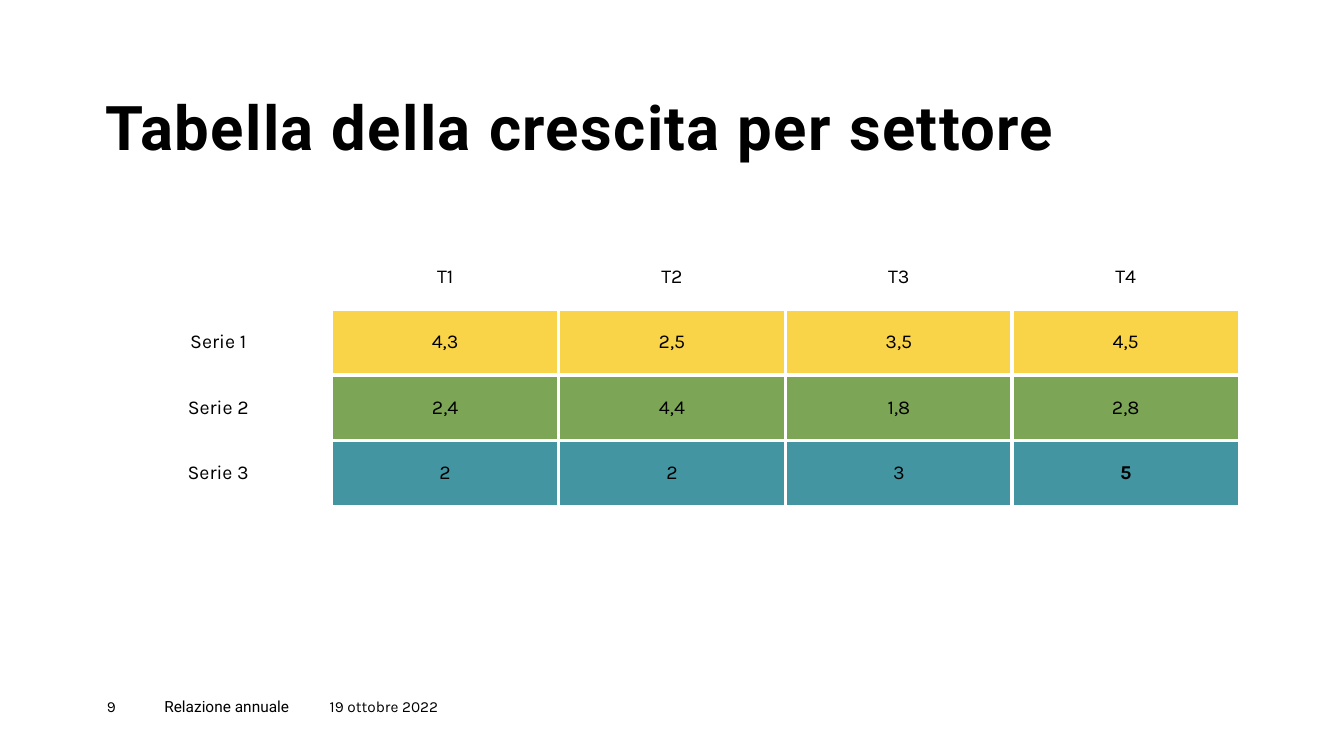
import dataclasses

import pptx
import pptx.dml.color
import pptx.enum.text
import pptx.oxml
import pptx.oxml.ns
import pptx.util

Inches = pptx.util.Inches
Pt = pptx.util.Pt
PP_ALIGN = pptx.enum.text.PP_ALIGN
MSO_ANCHOR = pptx.enum.text.MSO_ANCHOR


@dataclasses.dataclass(frozen=True)
class Theme:
    ink: str = "000000"
    paper: str = "FFFFFF"
    series: tuple = ("F9D448", "7CA655", "4495A2")
    heading_font: str = "Roboto"
    body_font: str = "Karla"
    title_size: int = 44
    table_size: int = 14
    footer_size: int = 11
    header_rule: float = 1
    outer_rule: float = 2.25
    inner_rule: float = 3


class SlideBuilder:
    def __init__(self, deck, theme):
        self.theme = theme
        self.slide = deck.slides.add_slide(deck.slide_layouts[5])
        self.slide.background.fill.solid()
        self.slide.background.fill.fore_color.rgb = self.color(theme.paper)

    def color(self, value):
        return pptx.dml.color.RGBColor.from_string(value)

    def add_run(self, paragraph, text, size, font, bold=False):
        run = paragraph.add_run()
        run.text = text
        run.font.size = Pt(size)
        run.font.name = font
        run.font.bold = bold
        run.font.color.rgb = self.color(self.theme.ink)
        return run

    def format_frame(self, frame, anchor):
        frame.margin_left = frame.margin_right = 0
        frame.margin_top = frame.margin_bottom = 0
        frame.word_wrap = True
        frame.auto_size = pptx.enum.text.MSO_AUTO_SIZE.NONE
        frame.vertical_anchor = anchor

    def title(self, text, left, top, width, height):
        heading = self.slide.shapes.title
        heading.left, heading.top = Inches(left), Inches(top)
        heading.width, heading.height = Inches(width), Inches(height)
        self.format_frame(heading.text_frame, MSO_ANCHOR.BOTTOM)
        paragraph = heading.text_frame.paragraphs[0]
        paragraph.alignment = PP_ALIGN.LEFT
        paragraph.line_spacing = 0.9
        run = self.add_run(paragraph, text, self.theme.title_size,
                           self.theme.heading_font, bold=True)
        run.font._element.set("spc", "100")  # one point of letter spacing

    def footer(self, text, font, left, top, width, height):
        box = self.slide.shapes.add_textbox(
            Inches(left), Inches(top), Inches(width), Inches(height))
        self.format_frame(box.text_frame, MSO_ANCHOR.TOP)
        self.add_run(box.text_frame.paragraphs[0], text,
                     self.theme.footer_size, font)

    def border(self, cell, side, width):
        properties = cell._tc.get_or_add_tcPr()
        properties.append(pptx.oxml.parse_xml(
            f'<a:ln{side} {pptx.oxml.ns.nsdecls("a")} w="{int(Pt(width))}">'
            f'<a:solidFill><a:srgbClr val="{self.theme.paper}"/></a:solidFill>'
            f'</a:ln{side}>'))

    def border_widths(self, row, column, last_row, last_column):
        outer, inner = self.theme.outer_rule, self.theme.inner_rule
        if row == 0:
            thin = self.theme.header_rule
            return {"L": thin, "R": thin, "T": thin, "B": outer}
        if column == 0:
            return dict.fromkeys("LRTB", outer)
        on_edge = {"L": column == 1, "R": column == last_column,
                   "T": row == 1, "B": row == last_row}
        return {side: outer if edge else inner for side, edge in on_edge.items()}

    def table(self, rows, bold_cell, left, top, column_widths, row_height):
        grid = self.slide.shapes.add_table(
            len(rows), len(column_widths), Inches(left), Inches(top),
            Inches(sum(column_widths)), Inches(row_height * len(rows))).table
        grid.first_row = grid.horz_banding = False
        for column, width in zip(grid.columns, column_widths):
            column.width = Inches(width)
        for r, values in enumerate(rows):
            grid.rows[r].height = Inches(row_height)
            for c, value in enumerate(values):
                cell = grid.cell(r, c)
                cell.vertical_anchor = MSO_ANCHOR.MIDDLE
                widths = self.border_widths(r, c, len(rows) - 1, len(values) - 1)
                for side, width in widths.items():
                    self.border(cell, side, width)
                # Only the figures are coloured, one colour per series
                if r and c:
                    cell.fill.solid()
                    cell.fill.fore_color.rgb = self.color(self.theme.series[r - 1])
                else:
                    cell.fill.background()
                if value:
                    paragraph = cell.text_frame.paragraphs[0]
                    paragraph.alignment = PP_ALIGN.CENTER
                    self.add_run(paragraph, value, self.theme.table_size,
                                 self.theme.body_font, bold=(r, c) == bold_cell)


def main():
    deck = pptx.Presentation()
    deck.slide_width, deck.slide_height = Inches(13.33), Inches(7.5)
    theme = Theme()
    page = SlideBuilder(deck, theme)

    # Title
    page.title("Tabella della crescita per settore", 1.05, 0.96, 10.01, 0.67)

    # Growth by quarter
    growth = [
        ("", "T1", "T2", "T3", "T4"),
        ("Serie 1", "4,3", "2,5", "3,5", "4,5"),
        ("Serie 2", "2,4", "4,4", "1,8", "2,8"),
        ("Serie 3", "2", "2", "3", "5"),
    ]
    page.table(growth, (3, 4), 1.04, 2.42, [2.25] * 5, 0.65)

    # Footer: page number, report name and date, side by side
    footer_left = 1.06
    for text, font, width in (
            ("9", theme.body_font, 0.57),
            ("Relazione annuale", theme.heading_font, 1.64),
            ("19 ottobre 2022", theme.body_font, 1.44)):
        page.footer(text, font, footer_left, 6.92, width, 0.27)
        footer_left += width

    deck.save("out.pptx")


if __name__ == "__main__":
    main()
